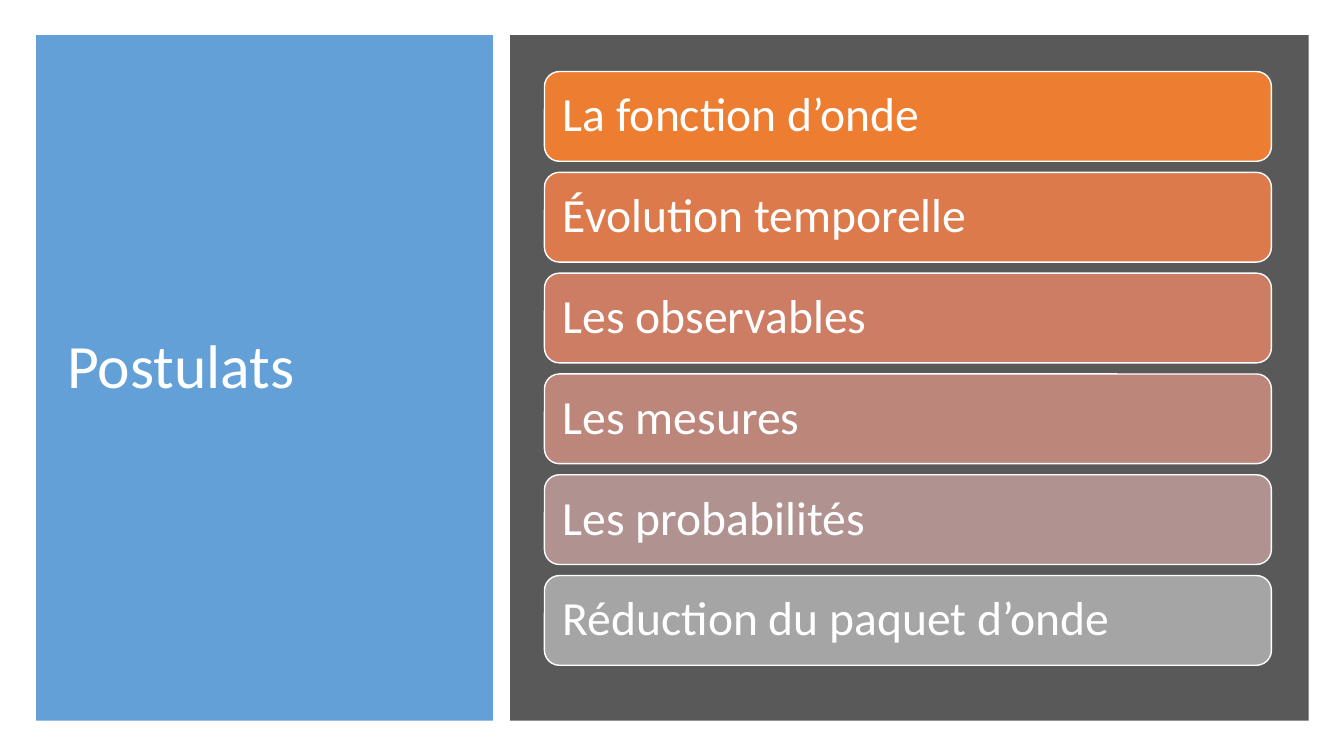
"""Build the slide listing the postulates as a stack of graded bars."""
from dataclasses import dataclass

from lxml.etree import SubElement
from pptx import Presentation
from pptx.dml.color import RGBColor
from pptx.enum.shapes import MSO_SHAPE
from pptx.enum.text import MSO_ANCHOR, PP_ALIGN
from pptx.oxml.ns import qn
from pptx.util import Inches, Pt

TITLE = "Postulats"
POSTULATES = [
    ("La fonction d’onde", "ED7D31"),
    ("Évolution temporelle", "DC7A4B"),
    ("Les observables", "CC7D64"),
    ("Les mesures", "BD867B"),
    ("Les probabilités", "B09391"),
    ("Réduction du paquet d’onde", "A5A5A5"),
]


@dataclass(frozen=True)
class Theme:
    font: str = "Calibri"
    text: str = "FFFFFF"
    outline: str = "FFFFFF"
    title_panel: str = "5B9BD5"
    title_panel_opacity: int = 95
    list_panel: str = "595959"
    title_size: int = 44
    item_size: int = 34


THEME = Theme()
PANEL_TOP, PANEL_HEIGHT = 0.35, 6.8
BAR_LEFT, BAR_TOP, BAR_WIDTH, BAR_HEIGHT = 5.4, 0.71, 7.21, 0.89
BAR_PITCH = 1.0


def add_block(slide, kind, left, top, width, height, color):
    shape = slide.shapes.add_shape(
        kind, Inches(left), Inches(top), Inches(width), Inches(height)
    )
    shape.shadow.inherit = False
    shape.fill.solid()
    shape.fill.fore_color.rgb = RGBColor.from_string(color)
    shape.line.fill.background()
    return shape


def set_opacity(shape, percent):
    color = shape.fill._xPr.find(qn("a:solidFill"))[0]
    SubElement(color, qn("a:alpha")).set("val", str(percent * 1000))


def write_text(shape, text, size, inset):
    frame = shape.text_frame
    frame.word_wrap = True
    frame.vertical_anchor = MSO_ANCHOR.MIDDLE
    frame.margin_left = frame.margin_right = Inches(inset)
    paragraph = frame.paragraphs[0]
    paragraph.text = text
    paragraph.alignment = PP_ALIGN.LEFT
    paragraph.line_spacing = 0.9
    paragraph.font.name = THEME.font
    paragraph.font.size = Pt(size)
    paragraph.font.color.rgb = RGBColor.from_string(THEME.text)


presentation = Presentation()
presentation.slide_width = Inches(13.33)
presentation.slide_height = Inches(7.5)
slide = presentation.slides.add_slide(presentation.slide_layouts[6])

title_panel = add_block(
    slide, MSO_SHAPE.RECTANGLE, 0.36, PANEL_TOP, 4.53, PANEL_HEIGHT, THEME.title_panel
)
set_opacity(title_panel, THEME.title_panel_opacity)
title_box = slide.shapes.add_textbox(
    Inches(0.57), Inches(0.64), Inches(4.07), Inches(6.04)
)
write_text(title_box, TITLE, THEME.title_size, 0.1)

add_block(
    slide, MSO_SHAPE.RECTANGLE, 5.06, PANEL_TOP, 7.92, PANEL_HEIGHT, THEME.list_panel
)
for index, (postulate, color) in enumerate(POSTULATES):
    bar = add_block(
        slide, MSO_SHAPE.ROUNDED_RECTANGLE,
        BAR_LEFT, BAR_TOP + index * BAR_PITCH, BAR_WIDTH, BAR_HEIGHT, color,
    )
    bar.line.color.rgb = RGBColor.from_string(THEME.outline)
    bar.line.width = Pt(1)
    write_text(bar, postulate, THEME.item_size, 0.14)

presentation.save("out.pptx")
